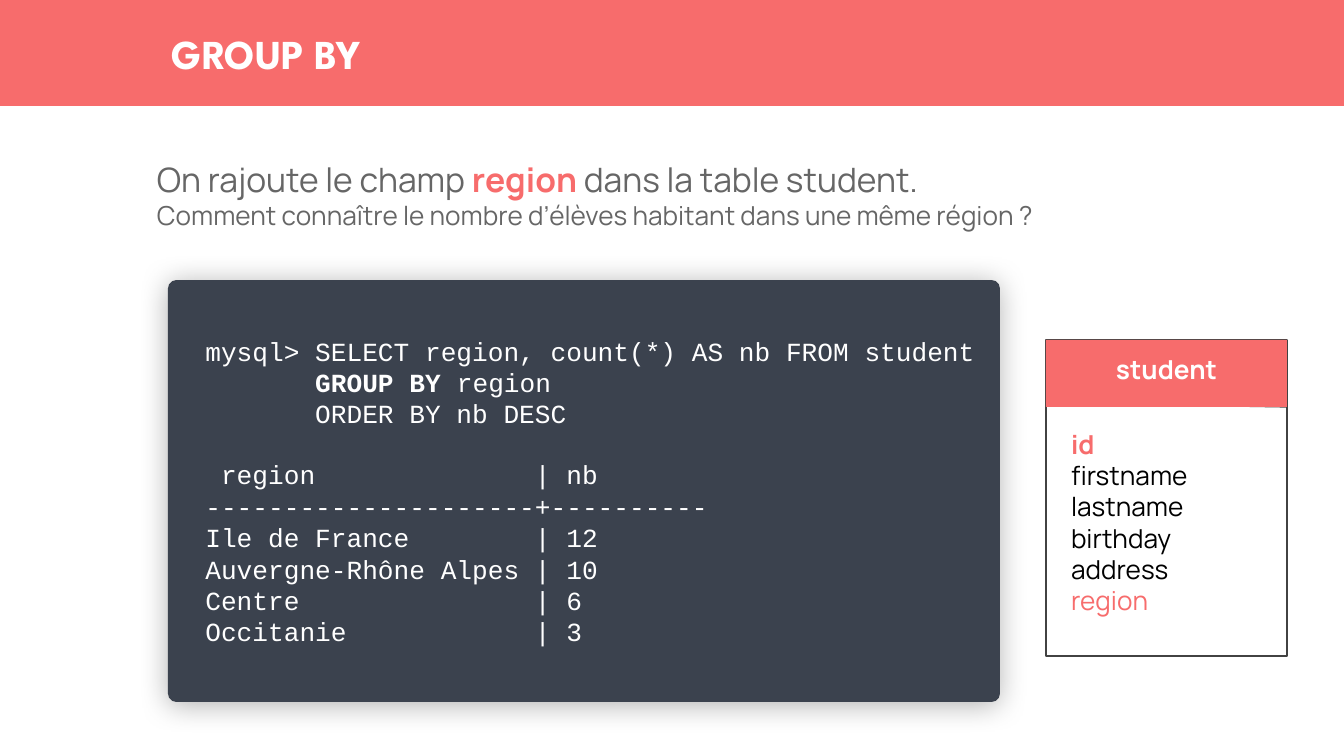
from lxml import etree
from pptx import Presentation
from pptx import util as u
from pptx.dml.color import RGBColor
from pptx.enum import shapes, text
from pptx.oxml import ns

SCALE = 914400 / 134.4
CORAL = RGBColor(0xF7, 0x6C, 0x6C)
SLATE = RGBColor(0x3B, 0x42, 0x4E)
GREY = RGBColor(0x66, 0x66, 0x66)
DARK = RGBColor(0x42, 0x42, 0x42)
WHITE = RGBColor(0xFF, 0xFF, 0xFF)
BLACK = RGBColor(0, 0, 0)
RECT = shapes.MSO_SHAPE.RECTANGLE
ROUND = shapes.MSO_SHAPE.ROUNDED_RECTANGLE
TOP, MID = text.MSO_ANCHOR.TOP, text.MSO_ANCHOR.MIDDLE
LEFT, CENTER = text.PP_ALIGN.LEFT, text.PP_ALIGN.CENTER


def px(n):
    return u.Emu(round(n * SCALE))


def add_box(slide, box, fill=None, line=None, kind=RECT):
    shape = slide.shapes.add_shape(kind, *map(px, box))
    shape.shadow.inherit = False
    if fill is None:
        shape.fill.background()
    else:
        shape.fill.solid()
        shape.fill.fore_color.rgb = fill
    if line is None:
        shape.line.fill.background()
    else:
        shape.line.color.rgb = line
        shape.line.width = u.Pt(0.75)
    return shape


def add_text(slide, box):
    return slide.shapes.add_textbox(*map(px, box))


def write(shape, rows, font, pad=(0, 0, 0, 0), anchor=TOP, align=LEFT):
    frame = shape.text_frame
    frame.word_wrap = True
    frame.vertical_anchor = anchor
    frame.margin_left, frame.margin_top, frame.margin_right, frame.margin_bottom = map(px, pad)
    for i, (size, runs) in enumerate(rows):
        para = frame.paragraphs[0] if i == 0 else frame.add_paragraph()
        para.alignment = align
        for words, color, bold in runs:
            run = para.add_run()
            run.text = words
            run.font.name = font
            run.font.size = u.Pt(size)
            run.font.bold = bold
            run.font.color.rgb = color
    return frame


def add_shade(shape):
    effects = shape._element.spPr.find(ns.qn("a:effectLst"))
    shade = etree.SubElement(effects, ns.qn("a:outerShdw"), blurRad=str(u.Pt(15.8)),
                             dist=str(u.Pt(1.5)), dir="5400000", algn="bl", rotWithShape="0")
    color = etree.SubElement(shade, ns.qn("a:srgbClr"), val="000000")
    etree.SubElement(color, ns.qn("a:alpha"), val="30000")


def add_header(slide, box):
    x, y, w, h = box
    add_box(slide, box, CORAL)
    title = add_text(slide, (x + 175, y, 672, h))
    write(title, [(22, [("GROUP BY", WHITE, True)])], "League Spartan", anchor=MID)


def add_intro(slide, box):
    rows = [
        (18, [("On rajoute le champ ", GREY, False), ("region", CORAL, True),
              (" dans la table student.", GREY, False)]),
        (14, [("Comment connaître le nombre d’élèves habitant dans une même région ?",
               GREY, False)]),
    ]
    write(add_text(slide, box), rows, "Manrope")


def add_entity(slide, box):
    x, y, w, h = box
    head = 67
    pad = (13, 13, 13, 13)
    add_box(slide, box, line=DARK)
    rule = slide.shapes.add_connector(shapes.MSO_CONNECTOR.STRAIGHT, px(x + 1), px(y + head - 4),
                                      px(x + w + 1), px(y + head))
    rule.line.color.rgb = DARK
    rule.line.width = u.Pt(0.75)
    etree.SubElement(rule._element.spPr, ns.qn("a:effectLst"))
    name = add_box(slide, (x, y, w, head), CORAL)
    write(name, [(14, [("student", WHITE, True)])], "Manrope", pad, align=CENTER)
    fields = [("id", CORAL, True)]
    fields += [(f, BLACK, False) for f in ("firstname", "lastname", "birthday", "address")]
    fields += [("region", CORAL, False)]
    body = add_text(slide, (x + 12, y + head + 8, w + 25, head))
    write(body, [(14, [field]) for field in fields], "Manrope", pad)


def add_code(slide, box):
    panel = add_box(slide, box, SLATE, kind=ROUND)
    panel.adjustments[0] = 0.02
    add_shade(panel)
    query = [
        [("mysql> SELECT region, count(*) AS nb FROM student", WHITE, False)],
        [("       GROUP BY", WHITE, True), (" region", WHITE, False)],
        [("       ORDER BY nb DESC", WHITE, False)],
    ]
    result = [
        " region              | nb",
        "---------------------+----------",
        "Ile de France        | 12",
        "Auvergne-Rhône Alpes | 10",
        "Centre               | 6",
        "Occitanie            | 3",
    ]
    lines = query + [[(row, WHITE, False)] for row in result]
    frame = write(panel, [(14, line) for line in lines], "Courier New", (35, 13, 13, 13), MID)
    frame.paragraphs[len(query)].space_before = u.Pt(16)


def main():
    deck = Presentation()
    deck.slide_width, deck.slide_height = px(1344), px(756)
    slide = deck.slides.add_slide(deck.slide_layouts[6])
    add_header(slide, (-3, 0, 1350, 106))
    add_intro(slide, (157, 159, 999, 413))
    add_entity(slide, (1046, 340, 241, 316))
    add_code(slide, (168, 280, 832, 422))
    deck.save("out.pptx")


if __name__ == "__main__":
    main()
